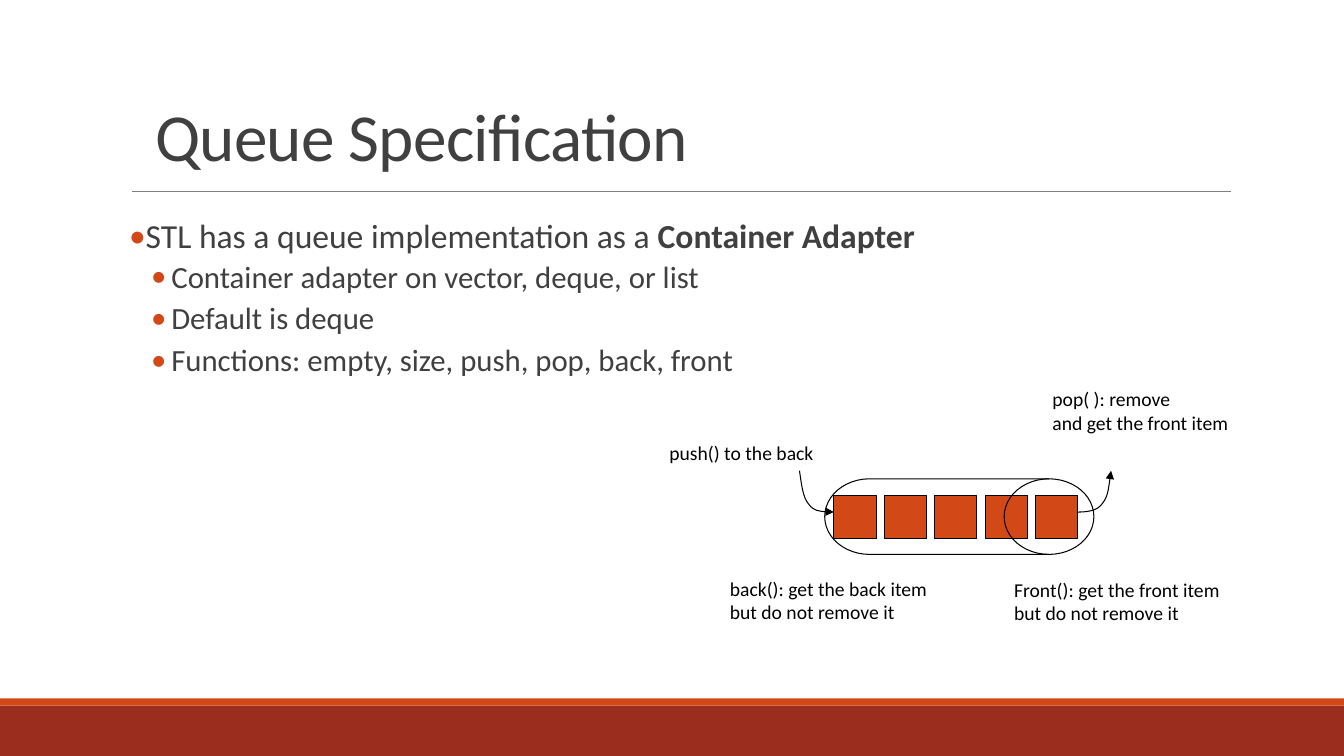
from lxml import etree
from pptx import Presentation
from pptx import util as u
from pptx.dml.color import RGBColor
from pptx.enum import shapes, text
from pptx.oxml.ns import qn

FONT = "Calibri"
COLORS = {"rust": "9B2D1F", "orange": "D34817", "rule": "808080",
          "text": "404040", "black": "000000"}

TITLE = "Queue Specification"
# Each bullet: level, runs of (text, bold)
BULLETS = [
    (0, [("STL has a queue implementation as a ", False), ("Container Adapter", True)]),
    (1, [("Container adapter on vector, deque, or list", False)]),
    (1, [("Default is deque", False)]),
    (1, [("Functions: empty, size, push, pop, back, front", False)]),
]
# Per level: left margin, hanging indent (inches), size, space before, space after (points)
LEVELS = [(0.1, -0.1, 24, 12, 2), (0.42, -0.2, 22, 2, 4)]
# Each label: left, top, width, height, wraps, lines
LABELS = [
    (9.96, 5.68, 2.26, 0.57, False, ["Front(): get the front item", "but do not remove it"]),
    (10.34, 3.79, 1.96, 0.57, False, ["pop( ): remove", "and get the front item"]),
    (6.54, 4.33, 1.65, 0.34, False, ["push() to the back"]),
    (7.14, 5.67, 2.25, 0.57, True, ["back(): get the back item", "but do not remove it"]),
]
BANDS = [(7, 0.5, "rust"), (6.93, 0.07, "orange")]

ITEM_COUNT, ITEM_LEFT, ITEM_TOP, ITEM_SIZE, ITEM_PITCH = 5, 8.27, 4.92, 0.42, 0.5
DRUM = (8.18, 4.75, 2.67, 0.75)
ARROW_TOP = 4.67
# Start point, then two cubic curves of three points each, relative to the start
ARROW_CURVE = [(0, 0), (0.02, 0.13), (0.03, 0.26), (0.09, 0.33),
               (0.14, 0.4), (0.24, 0.41), (0.34, 0.41)]
# Start x, horizontal direction, end that carries the arrowhead
ARROWS = [(7.93, 1, "a:tailEnd"), (11.02, -1, "a:headEnd")]

presentation = Presentation()
presentation.slide_width, presentation.slide_height = u.Inches(13.33), u.Inches(7.5)
slide = presentation.slides.add_slide(presentation.slide_layouts[6])


def rgb(name):
    return RGBColor.from_string(COLORS[name])


def style_shape(shape, fill=None, line=None):
    shape.shadow.inherit = False
    if fill:
        shape.fill.solid()
        shape.fill.fore_color.rgb = rgb(fill)
    else:
        shape.fill.background()
    if line:
        shape.line.color.rgb = rgb(line)
        shape.line.width = u.Pt(0.75)
    else:
        shape.line.fill.background()


def add_preset(kind, box, fill=None, line=None):
    shape = slide.shapes.add_shape(kind, *map(u.Inches, box))
    style_shape(shape, fill, line)


def add_frame(box, wraps=True):
    frame = slide.shapes.add_textbox(*map(u.Inches, box)).text_frame
    frame.word_wrap = wraps
    return frame


def format_run(run, size, color, bold=False):
    run.font.name, run.font.size, run.font.bold = FONT, u.Pt(size), bold
    run.font.color.rgb = rgb(color)


def add_bullet(paragraph, margin, indent):
    properties = paragraph._p.get_or_add_pPr()
    properties.set("marL", str(u.Inches(margin)))
    properties.set("indent", str(u.Inches(indent)))
    color = etree.SubElement(properties, qn("a:buClr"))
    etree.SubElement(color, qn("a:srgbClr"), val=COLORS["orange"])
    etree.SubElement(properties, qn("a:buFont"), typeface=FONT)
    etree.SubElement(properties, qn("a:buChar"), char="•")


def add_curved_arrow(start_x, direction, arrow_end):
    """Draw ARROW_CURVE, turning each three line segments into one cubic curve."""
    points = [(u.Inches(start_x + direction * x), u.Inches(ARROW_TOP + y))
              for x, y in ARROW_CURVE]
    builder = slide.shapes.build_freeform(*points[0])
    builder.add_line_segments(points[1:], close=False)
    arrow = builder.convert_to_shape()
    style_shape(arrow, line="black")
    outline = arrow._element.find(".//" + qn("a:path"))
    segments = outline.findall(qn("a:lnTo"))
    for first in range(0, len(segments), 3):
        curve = etree.SubElement(outline, qn("a:cubicBezTo"))
        for segment in segments[first:first + 3]:
            curve.append(segment[0])
            outline.remove(segment)
    etree.SubElement(arrow.line._get_or_add_ln(), qn(arrow_end), type="triangle")


for top, height, color in BANDS:
    add_preset(shapes.MSO_SHAPE.RECTANGLE, (0, top, 13.33, height), color)

rule = slide.shapes.add_connector(shapes.MSO_CONNECTOR.STRAIGHT,
                                  *map(u.Inches, (1.31, 1.9, 12.21, 1.9)))
rule.line.color.rgb, rule.line.width = rgb("rule"), u.Pt(0.5)
etree.SubElement(rule._element.spPr, qn("a:effectLst"))

title_frame = add_frame((1.44, 0.54, 8.5, 1.25))
title_frame.vertical_anchor = text.MSO_ANCHOR.BOTTOM
title_frame.text = TITLE
title = title_frame.paragraphs[0]
title.line_spacing = 0.85
format_run(title.runs[0], 48, "text")
title.runs[0].font._element.set("spc", "-50")

body = add_frame((1.28, 2.13, 10.23, 4.75))
body.margin_left = body.margin_right = 0
for index, (level, runs) in enumerate(BULLETS):
    paragraph = body.add_paragraph() if index else body.paragraphs[0]
    margin, indent, size, before, after = LEVELS[level]
    paragraph.level, paragraph.line_spacing = level, 0.9
    paragraph.space_before, paragraph.space_after = u.Pt(before), u.Pt(after)
    add_bullet(paragraph, margin, indent)
    for words, bold in runs:
        run = paragraph.add_run()
        run.text = words
        format_run(run, size, "text", bold)

for index in range(ITEM_COUNT):
    add_preset(shapes.MSO_SHAPE.RECTANGLE,
               (ITEM_LEFT + index * ITEM_PITCH, ITEM_TOP, ITEM_SIZE, ITEM_SIZE),
               "orange", "black")
for arrow_spot in ARROWS:
    add_curved_arrow(*arrow_spot)
add_preset(shapes.MSO_SHAPE.FLOWCHART_DIRECT_ACCESS_STORAGE, DRUM, line="black")

for *box, wraps, lines in LABELS:
    label = add_frame(box, wraps)
    label.text = "\n".join(lines)
    for paragraph in label.paragraphs:
        format_run(paragraph.runs[0], 14, "black")

presentation.save("out.pptx")
